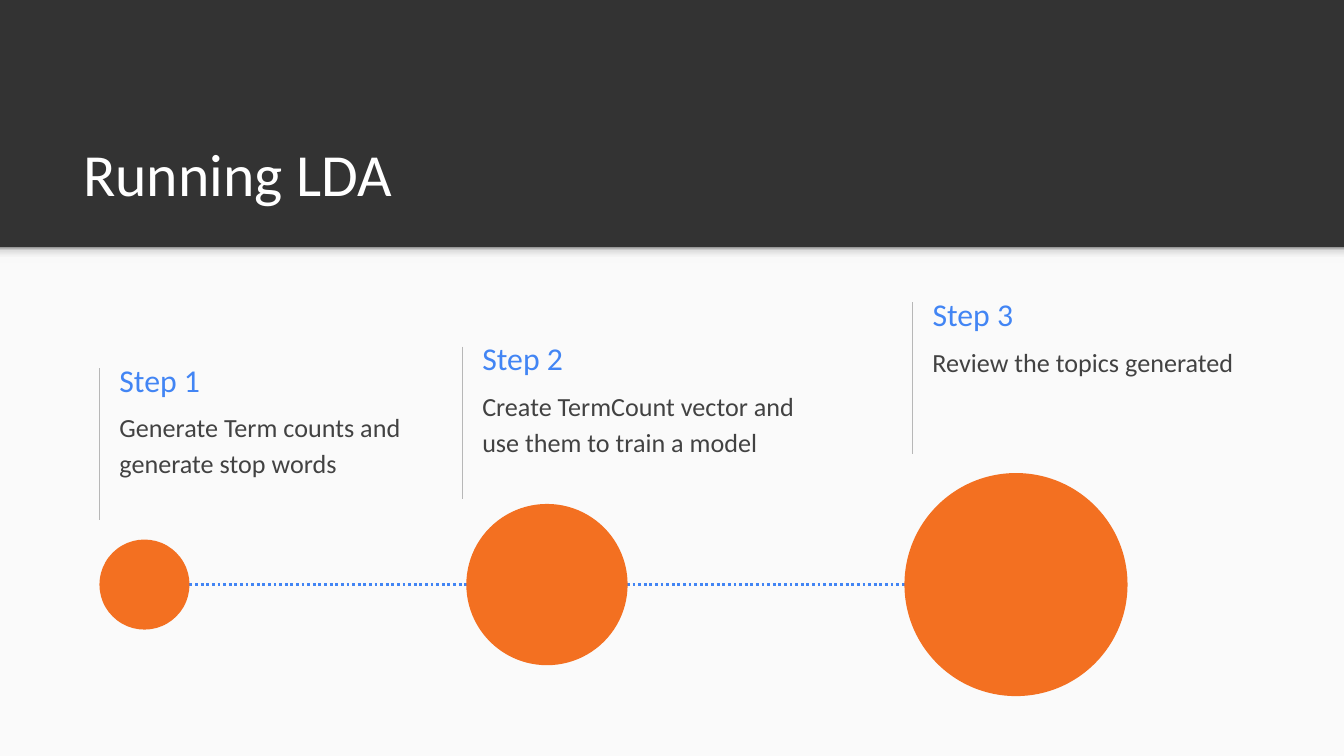
"""Build the Running LDA slide: three steps above a row of growing circles."""
from copy import deepcopy

from lxml import etree
from pptx import Presentation
from pptx.dml.color import RGBColor
from pptx.enum.dml import MSO_LINE
from pptx.enum.shapes import MSO_CONNECTOR, MSO_SHAPE
from pptx.enum.text import MSO_ANCHOR
from pptx.oxml.ns import qn
from pptx.util import Inches, Pt

TOP, MIDDLE, BOTTOM = MSO_ANCHOR.TOP, MSO_ANCHOR.MIDDLE, MSO_ANCHOR.BOTTOM
RECTANGLE, OVAL = MSO_SHAPE.RECTANGLE, MSO_SHAPE.OVAL
STRAIGHT = MSO_CONNECTOR.STRAIGHT
DOTTED = MSO_LINE.ROUND_DOT
WIDTH, HEIGHT = Inches(10), Inches(5.625)
COLUMNS = 100
color = RGBColor.from_string


def grid(*cells):
    """Turn counts of grid cells into lengths."""
    return [round(WIDTH * cell / COLUMNS) for cell in cells]


def add_text(text, box, size, fill, anchor=TOP, line_spacing=1.0, space_after=0):
    """Add a wrapped text box on the slide."""
    frame = slide.shapes.add_textbox(*grid(*box)).text_frame
    frame.word_wrap = True
    frame.vertical_anchor = anchor
    frame.margin_left = frame.margin_right = Inches(0.1)
    frame.margin_top = frame.margin_bottom = Inches(0.1)
    paragraph = frame.paragraphs[0]
    paragraph.line_spacing = line_spacing
    paragraph.space_after = Pt(space_after)
    run = paragraph.add_run()
    run.text = text
    run.font.name = "Calibri"
    run.font.size = Pt(size)
    run.font.color.rgb = color(fill)


presentation = Presentation()
presentation.slide_width, presentation.slide_height = WIDTH, HEIGHT
slide = presentation.slides.add_slide(presentation.slide_layouts[6])
slide.background.fill.solid()
slide.background.fill.fore_color.rgb = color("333333")

header_height = 18.4
body_height = COLUMNS * HEIGHT / WIDTH - header_height
body = slide.shapes.add_shape(RECTANGLE, *grid(0, header_height, COLUMNS, body_height))
body.fill.solid()
body.fill.fore_color.rgb = color("FAFAFA")

shade = slide.shapes.add_shape(RECTANGLE, *grid(0, header_height, COLUMNS, 1.2))
shade.fill.gradient()
shade.fill.gradient_angle = 90
stop_list = shade._element.spPr.find(qn("a:gradFill")).find(qn("a:gsLst"))
for stop in list(stop_list):
    stop_list.append(deepcopy(stop))
shade_stops = [(0, "F9F9F9"), (0.36, "F9F9F9"), (0.8, "DEDEDE"), (1, "999999")]
for stop, (position, fill) in zip(shade.fill.gradient_stops, shade_stops):
    stop.position = position
    stop.color.rgb = color(fill)

for shape in (body, shade):
    shape.line.fill.background()
    shape.shadow.inherit = False

add_text("Running LDA", (5.2, 8.1, 89.9, 8.4), 32, "FFFFFF", anchor=BOTTOM)

steps = [
    ("Step 1", "Generate Term counts and generate stop words", 7.4, 27.4, 22.9),
    ("Step 2", "Create TermCount vector and use them to train a model", 34.4, 25.8, 26.7),
    ("Step 3", "Review the topics generated", 67.9, 22.5, 26.7),
]
connectors = []
for heading, detail, left, top, detail_width in steps:
    rule = slide.shapes.add_connector(STRAIGHT, *grid(left, top, left, top + 11.3))
    rule.line.color.rgb = color("B7B7B7")
    rule.line.width = Pt(0.75)
    connectors.append(rule)
    add_text(heading, (left + 0.5, top - 1.3, 19.8, 4.3), 17, "4285F4", anchor=MIDDLE)
    add_text(detail, (left + 0.5, top + 1.9, detail_width, 6.3), 14, "424242",
             line_spacing=1.15, space_after=16)

axis = 43.5
circles = [(7.4, 6.7), (34.7, 12), (67.3, 16.6)]
timeline = slide.shapes.add_group_shape()
track = timeline.shapes.add_connector(
    STRAIGHT, *grid(sum(circles[0]), axis, circles[-1][0], axis))
track.line.color.rgb = color("4285F4")
track.line.width = Pt(1.5)
track.line.dash_style = DOTTED
connectors.append(track)

for left, diameter in circles:
    circle = timeline.shapes.add_shape(
        OVAL, *grid(left, axis - diameter / 2, diameter, diameter))
    circle.fill.solid()
    circle.fill.fore_color.rgb = color("F37021")
    circle.line.fill.background()
    circle.shadow.inherit = False

for connector in connectors:
    etree.SubElement(connector._element.spPr, qn("a:effectLst"))

presentation.save("out.pptx")
